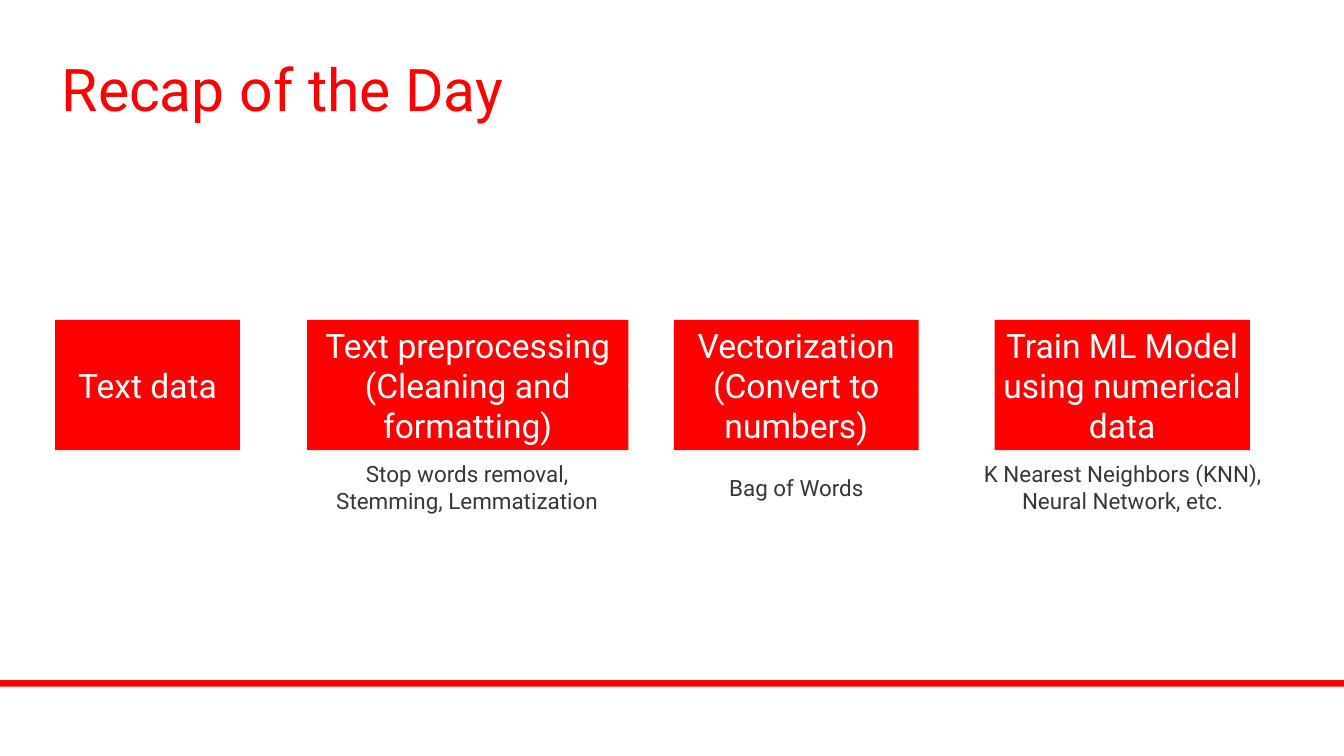
from lxml import etree
from pptx import Presentation
from pptx.dml.color import RGBColor
from pptx.enum import shapes, text
from pptx.oxml import ns
from pptx.util import Inches, Pt

COLORS = {"red": "FF0000", "white": "FFFFFF", "grey": "373737"}
FONT = "Roboto"
BOX_TOP, BOX_HEIGHT = 4.76, 1.94

STEPS = [
    (0.82, 2.75, "Text data"),
    (4.57, 4.78, "Text preprocessing\n(Cleaning and formatting)"),
    (10.03, 3.64, "Vectorization\n(Convert to numbers)"),
    (14.8, 3.8, "Train ML Model using numerical data"),
]
CAPTIONS = [
    (4.88, 6.85, 4.14, 0.8, "Stop words removal,\nStemming, Lemmatization"),
    (10.77, 7.05, 2.16, 0.47, "Bag of Words"),
    (14.56, 6.85, 4.29, 0.87, "K Nearest Neighbors (KNN),\nNeural Network, etc."),
]


class SlideBuilder:
    def __init__(self, slide):
        self.s = slide

    def color(self, name):
        return RGBColor.from_string(COLORS[name])

    def set_text(self, sp, content, size, leading, color, align, inset=0):
        tf = sp.text_frame
        tf.text = content
        tf.word_wrap = True
        tf.margin_left = tf.margin_right = Inches(inset)
        tf.margin_top = tf.margin_bottom = Inches(inset)
        for p in tf.paragraphs:
            p.alignment = align
            p.line_spacing = Pt(leading)
            for r in p.runs:
                r.font.name = FONT
                r.font.size = Pt(size)
                r.font.color.rgb = self.color(color)

    def textbox(self, left, top, width, height, content, size, leading, color,
                align=text.PP_ALIGN.CENTER):
        sp = self.s.shapes.add_textbox(
            Inches(left), Inches(top), Inches(width), Inches(height))
        self.set_text(sp, content, size, leading, color, align)
        sp.text_frame.vertical_anchor = text.MSO_ANCHOR.TOP

    def block(self, left, top, width, height):
        sp = self.s.shapes.add_shape(
            shapes.MSO_SHAPE.RECTANGLE,
            Inches(left), Inches(top), Inches(width), Inches(height))
        sp.shadow.inherit = False
        sp.fill.solid()
        sp.fill.fore_color.rgb = self.color("red")
        sp.line.fill.background()
        return sp

    def step(self, left, width, content):
        sp = self.block(left, BOX_TOP, width, BOX_HEIGHT)
        self.set_text(sp, content, 36, 43.2, "white", text.PP_ALIGN.CENTER, 0.06)
        sp.text_frame.vertical_anchor = text.MSO_ANCHOR.MIDDLE
        return sp

    def arrow(self, start, end):
        cxn = self.s.shapes.add_connector(shapes.MSO_CONNECTOR.STRAIGHT, 0, 0, 0, 0)
        cxn.begin_connect(start, 3)
        cxn.end_connect(end, 1)
        cxn.line.color.rgb = self.color("white")
        cxn.line.width = Pt(1.5)
        props = cxn._element.spPr
        etree.SubElement(props.find(ns.qn("a:ln")), ns.qn("a:tailEnd"), type="triangle")
        etree.SubElement(props, ns.qn("a:effectLst"))


def main():
    prs = Presentation()
    prs.slide_width, prs.slide_height = Inches(20), Inches(11.25)
    builder = SlideBuilder(prs.slides.add_slide(prs.slide_layouts[6]))

    builder.block(0, 10.12, 20, 0.1)
    builder.textbox(0.92, 0.89, 17.05, 0.99, "Recap of the Day", 63, 68, "red",
                    text.PP_ALIGN.LEFT)
    boxes = [builder.step(*step) for step in STEPS]
    for start, end in zip(boxes, boxes[1:]):
        builder.arrow(start, end)
    for caption in CAPTIONS:
        builder.textbox(*caption, 24, 28.8, "grey")

    prs.save("out.pptx")


if __name__ == "__main__":
    main()
